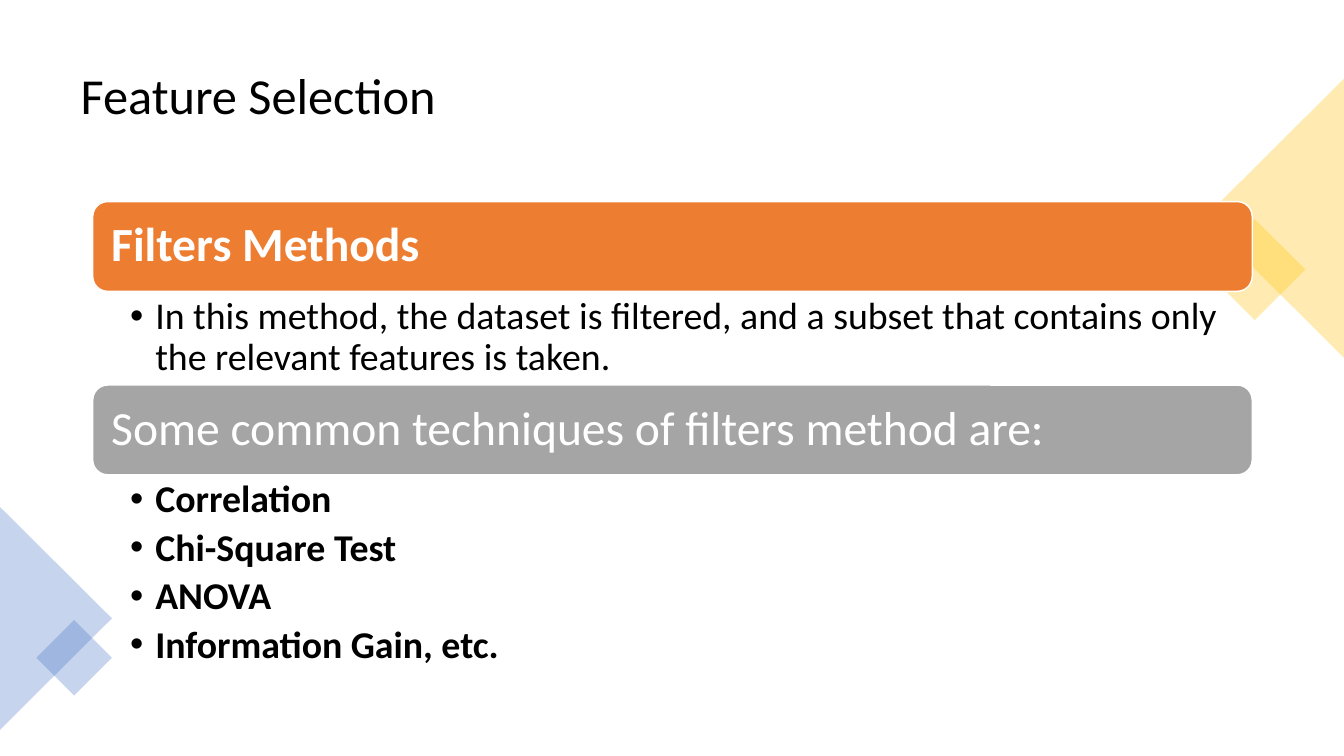
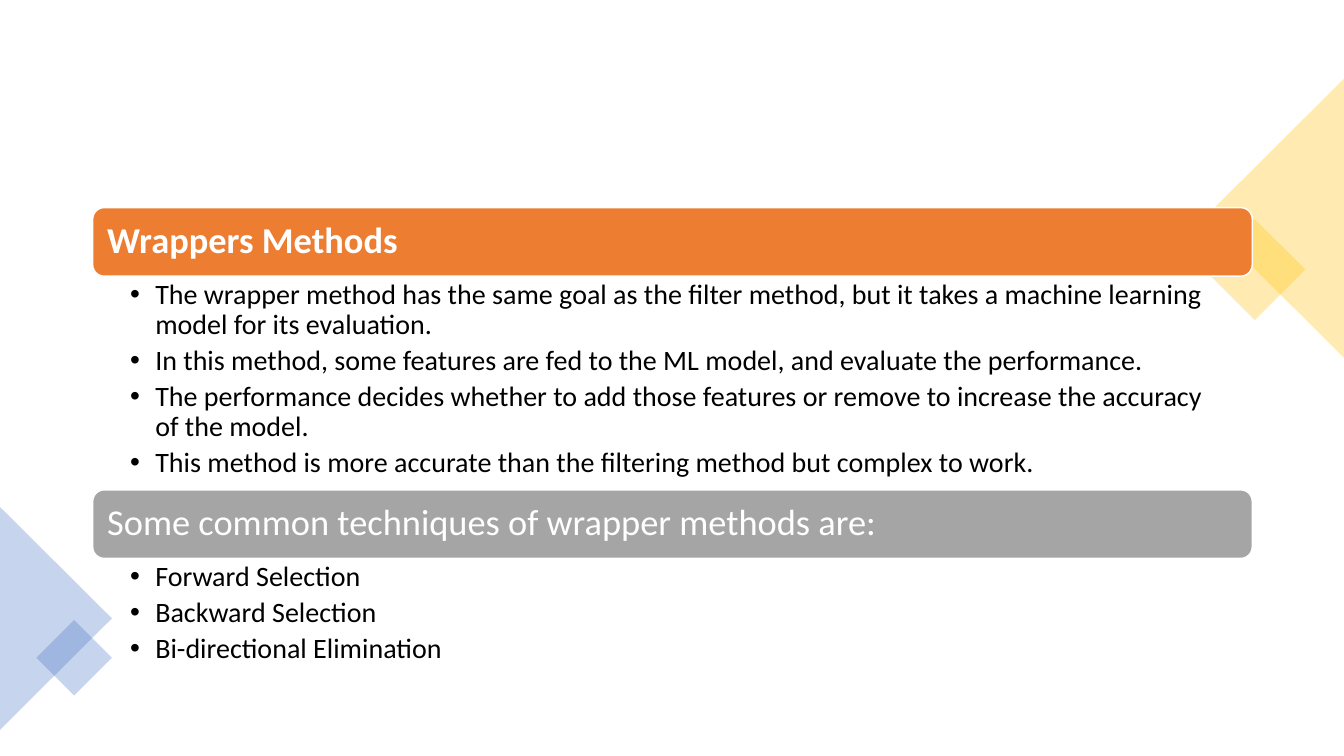
from pptx import Presentation
from pptx import util as u
from pptx.dml.color import RGBColor
from pptx.enum import shapes, text
from pptx.oxml.ns import qn
from lxml import etree

# Content: each block is (heading, heading is bold, items, items are bold, list height)
SLIDES = [
    dict(
        title="Feature Selection", top=2.0, bar=0.89, head=34, item=27, pad=0.14,
        blocks=[
            ("Filters Methods", True, [
                "In this method, the dataset is filtered, and a subset that contains only "
                "the relevant features is taken.",
            ], False, 0.93),
            ("Some common techniques of filters method are:", False, [
                "Correlation", "Chi-Square Test", "ANOVA", "Information Gain, etc.",
            ], True, 2.04),
        ]),
    dict(
        title=None, top=2.06, bar=0.68, head=26, item=20, pad=0.11,
        blocks=[
            ("Wrappers Methods", True, [
                "The wrapper method has the same goal as the filter method, but it takes "
                "a machine learning model for its evaluation.",
                "In this method, some features are fed to the ML model, and evaluate the "
                "performance.",
                "The performance decides whether to add those features or remove to "
                "increase the accuracy of the model.",
                "This method is more accurate than the filtering method but complex to work.",
            ], False, 2.12),
            ("Some common techniques of wrapper methods are:", False, [
                "Forward Selection", "Backward Selection", "Bi-directional Elimination",
            ], False, 1.15),
        ]),
]

# Theme
THEME = dict(font="Calibri", title=36, text="000000", light="FFFFFF",
             bars=["ED7D31", "A5A5A5"], gold="FFC000", blue="4472C4", alpha=30)
W, H = 13.33, 7.5
LEFT, WIDTH = 0.92, 11.5
TITLE_BOX = (0.7, 0.35, 11.93, 1.24)
INDENT = 0.25
DIAMOND, TRIANGLE = shapes.MSO_SHAPE.RECTANGLE, shapes.MSO_SHAPE.ISOSCELES_TRIANGLE
DECOR = [  # preset, unrotated box, rotation, colour
    (DIAMOND, (12.09, 2.32, 0.71, 0.71), 45, "gold"),
    (TRIANGLE, (11.25, 1.47, 2.77, 1.39), 270, "gold"),
    (TRIANGLE, (-0.55, 5.58, 2.21, 1.11), 90, "blue"),
    (DIAMOND, (0.47, 6.26, 0.53, 0.53), 45, "blue"),
]


def assign(obj, **values):
    for name, value in values.items():
        setattr(obj, name, value)


def place(sp, box):
    assign(sp, **dict(zip(("left", "top", "width", "height"), map(u.Inches, box))))


def add_shape(s, preset, box, color):
    sp = s.shapes.add_shape(preset, *map(u.Inches, box))
    sp.shadow.inherit = False
    sp.fill.solid()
    sp.fill.fore_color.rgb = RGBColor.from_string(color)
    return sp


def write(sp, lines, size, color, bold=False, anchor="MIDDLE", insets=(0.1, 0.05, 0.1, 0.05),
          after=0, bullet=False):
    tf = sp.text_frame
    sides = ("margin_left", "margin_top", "margin_right", "margin_bottom")
    assign(tf, word_wrap=True, auto_size=text.MSO_AUTO_SIZE.NONE,
           vertical_anchor=text.MSO_ANCHOR[anchor],
           **dict(zip(sides, map(u.Inches, insets))))
    for i, line in enumerate(lines):
        p = tf.add_paragraph() if i else tf.paragraphs[0]
        assign(p, alignment=text.PP_ALIGN.LEFT, line_spacing=0.9,
               space_before=u.Pt(0), space_after=u.Pt(after * size))
        r = p.add_run()
        r.text = line
        assign(r.font, name=THEME["font"], size=u.Pt(size), bold=bold)
        r.font.color.rgb = RGBColor.from_string(color)
        if bullet:
            p.level = 1
            pPr = p._p.get_or_add_pPr()
            pPr.set("marL", str(u.Inches(INDENT)))
            pPr.set("indent", str(-u.Inches(INDENT)))
            etree.SubElement(pPr, qn("a:buFont")).set("typeface", "Arial")
            etree.SubElement(pPr, qn("a:buChar")).set("char", "•")


def decorate(layout, s):
    """Draw the corner shapes and move them to the shared layout."""
    for preset, box, angle, color in DECOR:
        sp = add_shape(s, preset, box, THEME[color])
        sp.rotation = angle
        sp.line.fill.background()
        for clr in sp.element.spPr.find(qn("a:solidFill")):
            etree.SubElement(clr, qn("a:alpha")).set("val", str(THEME["alpha"] * 1000))
        layout.shapes.element.append(sp.element)


def build(s, data):
    # Title
    title = s.shapes.title
    if data["title"]:
        place(title, TITLE_BOX)
        write(title, [data["title"]], THEME["title"], THEME["text"])
    else:
        title.element.getparent().remove(title.element)

    # Heading bars, each with its list below
    y, bar, pad, size = data["top"], data["bar"], data["pad"], data["item"]
    for i, (heading, head_bold, items, item_bold, height) in enumerate(data["blocks"]):
        sp = add_shape(s, shapes.MSO_SHAPE.ROUNDED_RECTANGLE, (LEFT, y, WIDTH, bar),
                       THEME["bars"][i])
        sp.line.color.rgb = RGBColor.from_string(THEME["light"])
        sp.line.width = u.Pt(1)
        write(sp, [heading], data["head"], THEME["light"], head_bold,
              insets=[pad] * 4, after=0.35)
        body = s.placeholders[i + 1]
        place(body, (LEFT, y + bar, WIDTH, height))
        write(body, items, size, THEME["text"], item_bold, "TOP",
              (0.37, size / 500, size / 100, size / 500), 0.2, True)
        y += bar + height


def main():
    prs = Presentation()
    assign(prs, slide_width=u.Inches(W), slide_height=u.Inches(H))
    layout = prs.slide_layouts.get_by_name("Two Content")
    for i, data in enumerate(SLIDES):
        s = prs.slides.add_slide(layout)
        if i == 0:
            decorate(layout, s)
        build(s, data)
    prs.save("out.pptx")


if __name__ == "__main__":
    main()
